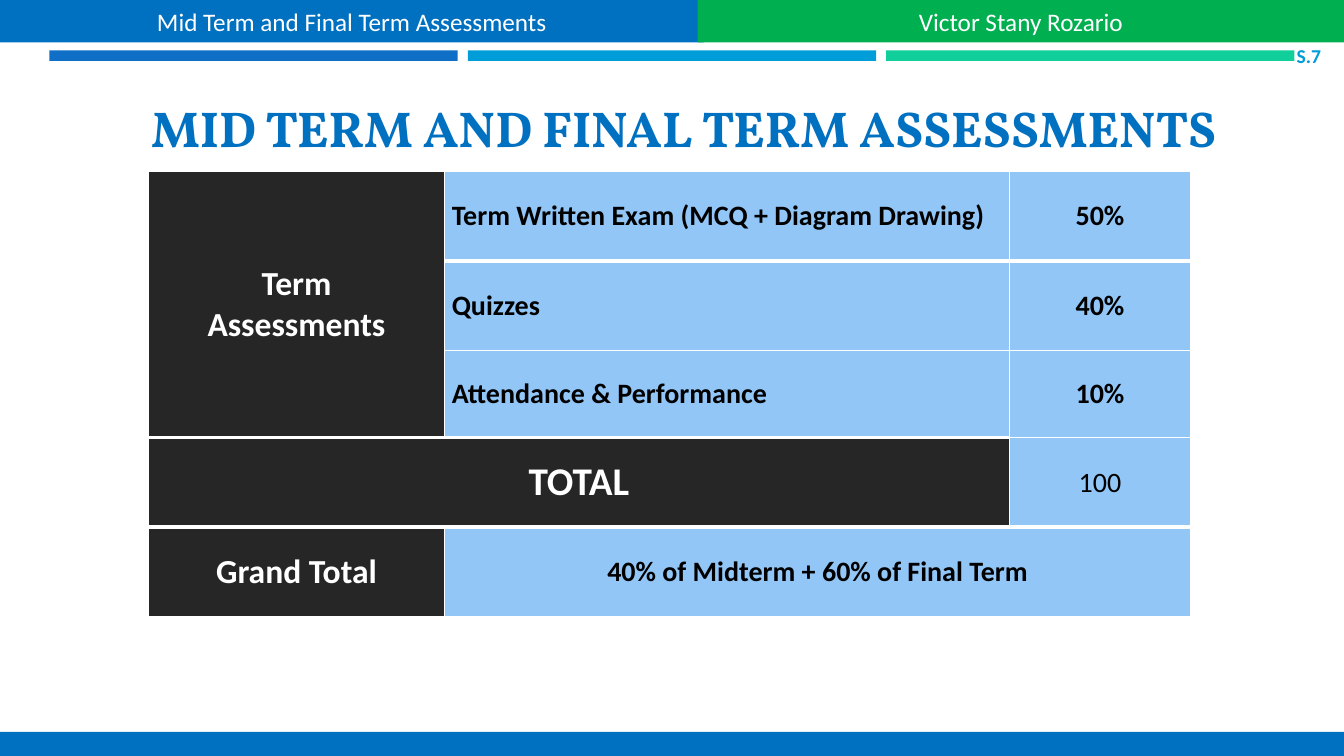
"""Build the slide on mid term and final term assessments."""
from dataclasses import dataclass

from lxml import etree
from pptx import Presentation, util as u
from pptx.dml.color import RGBColor
from pptx.enum import shapes, text
from pptx.oxml import ns

COLORS = {
    "blue": "0070C0", "green": "00B050", "white": "FFFFFF", "black": "000000",
    "dark": "262626", "pale": "91C6F7",
    "bar_left": "0F6FC6", "bar_middle": "009DD9", "bar_right": "10CF9B",
}
SLIDE_WIDTH, SLIDE_HEIGHT = u.Inches(13.33), u.Inches(7.5)
CENTER, LEFT, RIGHT = text.PP_ALIGN.CENTER, text.PP_ALIGN.LEFT, text.PP_ALIGN.RIGHT
MIDDLE, BOTTOM = text.MSO_ANCHOR.MIDDLE, text.MSO_ANCHOR.BOTTOM
COLUMN_SHARES = (22.06, 42.01, 13.5)
ROW_SHARES = (11.87, 11.87, 11.47, 11.87, 11.87)
TABLE_LEFT, TABLE_TOP = 11.03, 22.67


@dataclass(frozen=True)
class Area:
    """A rectangle in percent of the slide's width and height."""
    left: float
    top: float
    width: float
    height: float

    def lengths(self) -> tuple[int, ...]:
        """Return left, top, width and height in slide units."""
        return (across(self.left), down(self.top),
                across(self.width), down(self.height))


@dataclass(frozen=True)
class Style:
    """The look of one piece of text."""
    size: int
    color: str
    bold: bool = False
    align: text.PP_ALIGN = CENTER
    font: str = "Calibri"


@dataclass(frozen=True)
class Band:
    """A filled rectangle that may carry a heading."""
    area: Area
    color: str
    words: str = ""


@dataclass(frozen=True)
class Label:
    """A free line of text."""
    area: Area
    words: str
    style: Style
    anchor: text.MSO_ANCHOR
    wrap: bool


@dataclass(frozen=True)
class Entry:
    """A table cell with its place, look and spans."""
    row: int
    column: int
    words: str
    style: Style
    fill: str = "pale"
    rows: int = 1
    columns: int = 1


HEADER = Style(18, "white")
SIDE = Style(24, "white", True)
TOTAL = Style(28, "white", True)
TASK = Style(20, "black", True, LEFT)
SHARE = Style(20, "black", True)
PLAIN = Style(20, "black")

BANDS = [
    *(Band(Area(3.68 + 31.13 * index, 6.67, 30.38, 1.4), color)
      for index, color in enumerate(("bar_left", "bar_middle", "bar_right"))),
    Band(Area(0, 96.8, 100, 3.2), "blue"),
    Band(Area(0, 0, 52.36, 5.6), "blue", "Mid Term and Final Term Assessments"),
    Band(Area(51.91, 0, 48.09, 5.6), "green", "Victor Stany Rozario"),
]
LABELS = [
    Label(Area(5.63, 10.27, 90.47, 10.53), "MID TERM AND FINAL TERM ASSESSMENTS",
          Style(36, "blue", True, font="Vollkorn"), BOTTOM, True),
    Label(Area(95.05, 5.93, 3.98, 2.8), "S.7",
          Style(14, "bar_middle", True, RIGHT), MIDDLE, False),
]
TASKS = (("Term Written Exam (MCQ + Diagram Drawing)", "50%"),
         ("Quizzes", "40%"), ("Attendance & Performance", "10%"))
ENTRIES = [
    Entry(0, 0, "Term\nAssessments", SIDE, "dark", rows=3),
    *(Entry(row, 1, task, TASK) for row, (task, _) in enumerate(TASKS)),
    *(Entry(row, 2, share, SHARE) for row, (_, share) in enumerate(TASKS)),
    Entry(3, 0, "TOTAL", TOTAL, "dark", columns=2),
    Entry(3, 2, "100", PLAIN),
    Entry(4, 0, "Grand Total", SIDE, "dark"),
    Entry(4, 1, "40% of Midterm + 60% of Final Term", SHARE, columns=2),
]


def across(share: float) -> int:
    """Turn a percentage of the slide's width into a length."""
    return round(SLIDE_WIDTH * share / 100)


def down(share: float) -> int:
    """Turn a percentage of the slide's height into a length."""
    return round(SLIDE_HEIGHT * share / 100)


def paint(fill, color: str) -> None:
    """Give a fill one solid colour."""
    fill.solid()
    fill.fore_color.rgb = RGBColor.from_string(COLORS[color])


def write(frame, words: str, style: Style) -> None:
    """Put styled words into a text frame."""
    frame.text = words
    for para in frame.paragraphs:
        para.alignment = style.align
        for span in para.runs:
            span.font.name = style.font
            span.font.size = u.Pt(style.size)
            span.font.bold = style.bold
            span.font.color.rgb = RGBColor.from_string(COLORS[style.color])


def draw_band(page, band: Band) -> None:
    """Draw a band and its heading."""
    box = page.shapes.add_shape(shapes.MSO_SHAPE.RECTANGLE, *band.area.lengths())
    box.shadow.inherit = False
    paint(box.fill, band.color)
    box.line.fill.background()
    if band.words:
        box.text_frame.vertical_anchor = MIDDLE
        write(box.text_frame, band.words, HEADER)


def draw_label(page, label: Label) -> None:
    """Draw a line of text."""
    frame = page.shapes.add_textbox(*label.area.lengths()).text_frame
    frame.word_wrap = label.wrap
    frame.vertical_anchor = label.anchor
    frame.margin_top = frame.margin_bottom = 0
    write(frame, label.words, label.style)


def draw_borders(cell, row: int) -> None:
    """Rule a cell in white, thicker below the first row and above the last."""
    widths = {"lnL": 1, "lnR": 1,
              "lnT": 3 if row == len(ROW_SHARES) - 1 else 1,
              "lnB": 3 if row == 0 else 1}
    properties = cell._tc.get_or_add_tcPr()
    for index, (side, width) in enumerate(widths.items()):
        line = etree.Element(ns.qn(f"a:{side}"), w=str(u.Pt(width)))
        fill = etree.SubElement(line, ns.qn("a:solidFill"))
        etree.SubElement(fill, ns.qn("a:srgbClr"), val=COLORS["white"])
        properties.insert(index, line)


def draw_table(page) -> None:
    """Draw the table of assessments."""
    area = Area(TABLE_LEFT, TABLE_TOP, sum(COLUMN_SHARES), sum(ROW_SHARES))
    table = page.shapes.add_table(
        len(ROW_SHARES), len(COLUMN_SHARES), *area.lengths()).table
    table.first_row = table.horz_banding = False
    for column, share in zip(table.columns, COLUMN_SHARES):
        column.width = across(share)
    for row, share in zip(table.rows, ROW_SHARES):
        row.height = down(share)
    for entry in ENTRIES:
        cell = table.cell(entry.row, entry.column)
        if entry.rows * entry.columns > 1:
            cell.merge(table.cell(entry.row + entry.rows - 1,
                                  entry.column + entry.columns - 1))
        cell.vertical_anchor = MIDDLE
        cell.margin_left = cell.margin_right = u.Inches(0.07)
        cell.margin_top = cell.margin_bottom = 0
        paint(cell.fill, entry.fill)
        draw_borders(cell, entry.row)
        write(cell.text_frame, entry.words, entry.style)


def main() -> None:
    """Build and save the deck."""
    deck = Presentation()
    deck.slide_width, deck.slide_height = SLIDE_WIDTH, SLIDE_HEIGHT
    page = deck.slides.add_slide(deck.slide_layouts[6])
    for band in BANDS:
        draw_band(page, band)
    for label in LABELS:
        draw_label(page, label)
    draw_table(page)
    deck.save("out.pptx")


if __name__ == "__main__":
    main()
